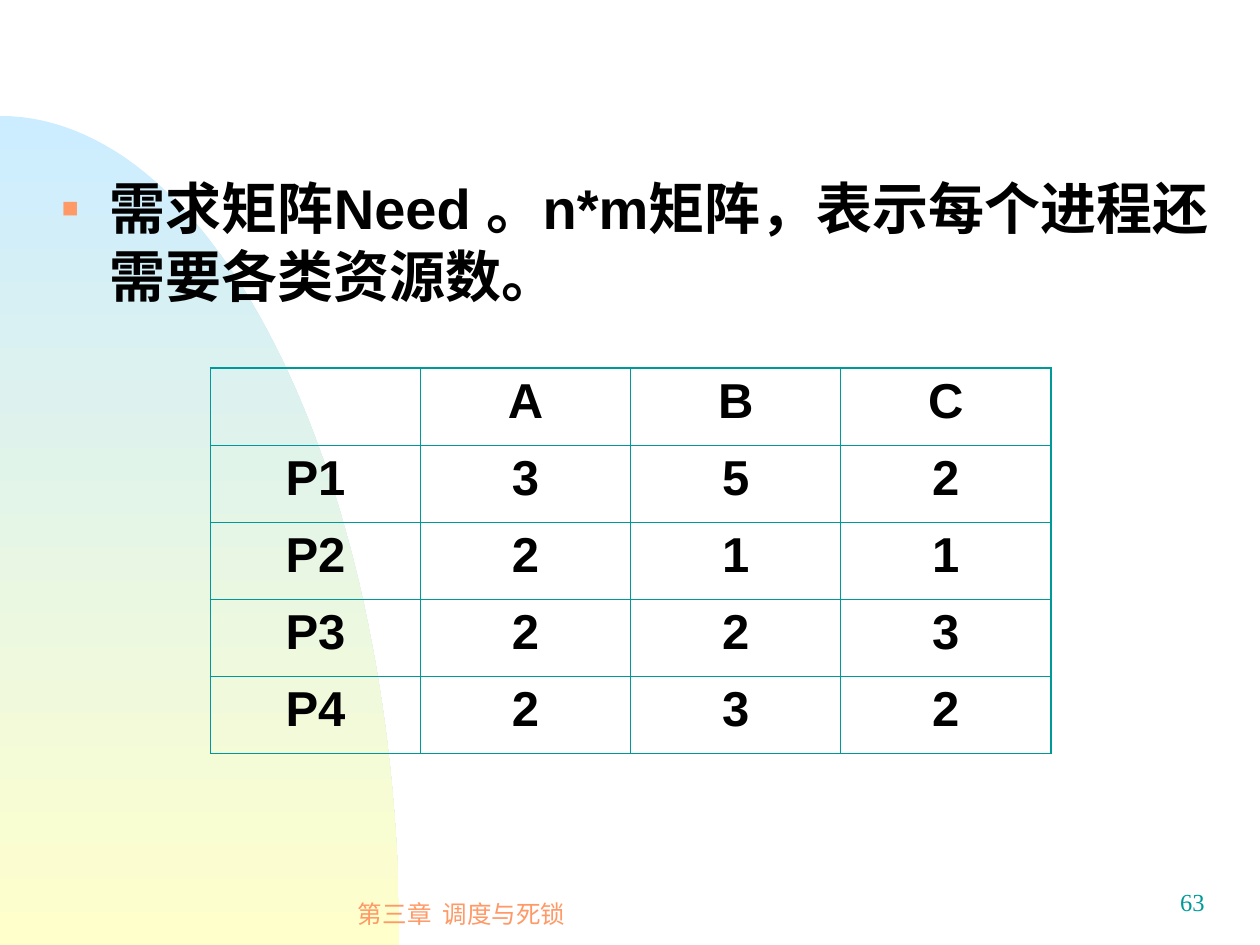
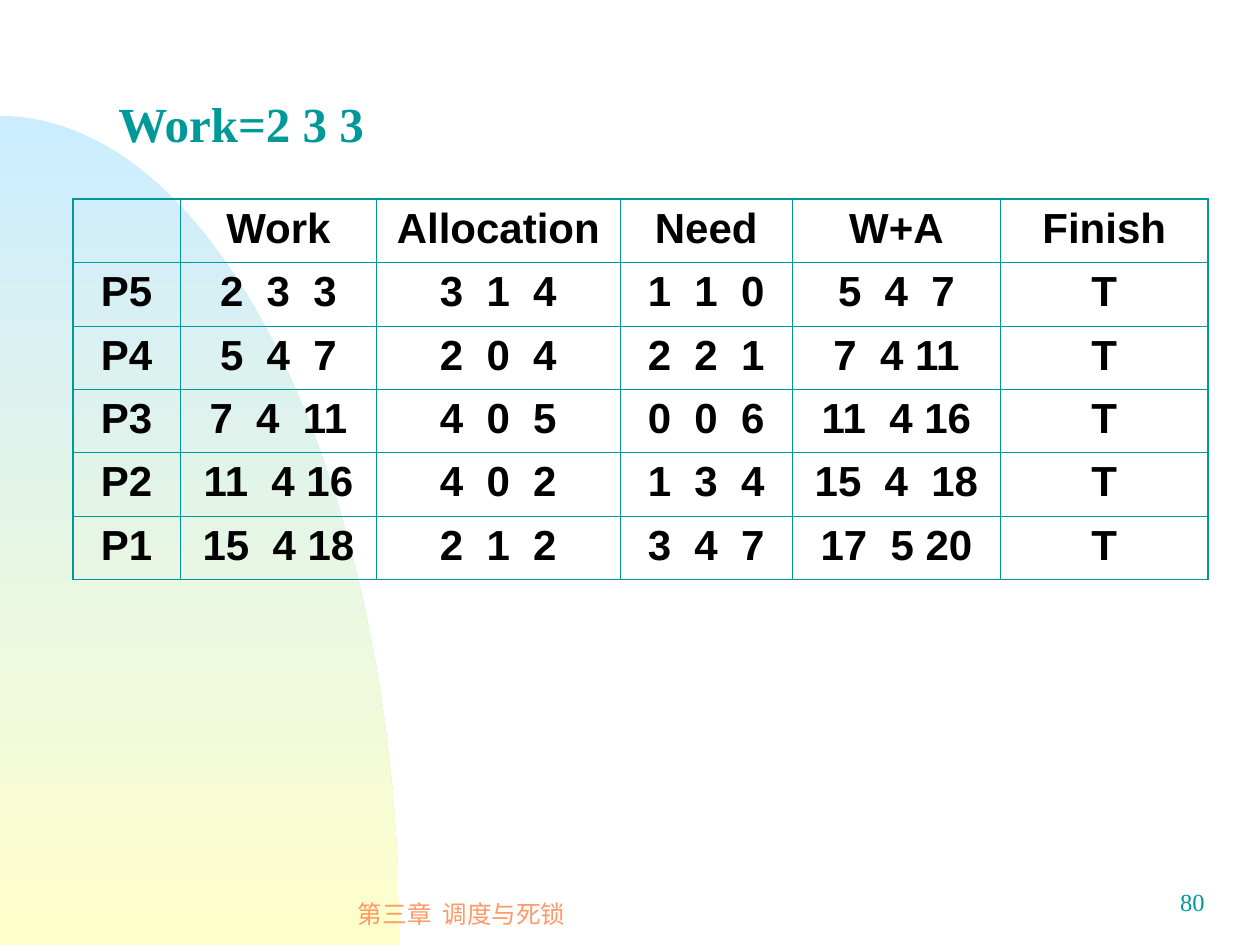
import lxml.etree
import pptx
import pptx.dml.color
import pptx.enum.text
import pptx.oxml.ns
import pptx.util

Inches, Pt, qn = pptx.util.Inches, pptx.util.Pt, pptx.oxml.ns.qn
ALIGN = pptx.enum.text.PP_ALIGN
ANCHOR = pptx.enum.text.MSO_ANCHOR

# Shared style
TEAL, ORANGE, BLACK = "009999", "FF9966", "000000"
SKY, CREAM = "CCECFF", "FFFFCC"
SANS, SERIF = "Arial", "Times New Roman"
OUTER, INNER = 1.08, 0.45


def rgb(value):
    return pptx.dml.color.RGBColor.from_string(value)


def sub(parent, tag, **attrs):
    return lxml.etree.SubElement(parent, qn(tag), attrs)


def write(tf, text, size, font, color, bold=False, align=ALIGN.LEFT):
    p = tf.paragraphs[0]
    p.alignment = align
    r = p.add_run()
    r.text = text
    r.font.size, r.font.name, r.font.bold = Pt(size), font, bold
    r.font.color.rgb = rgb(color)
    return p


def place(sp, box):
    sp.left, sp.top, sp.width, sp.height = map(Inches, box)


# Quarter dome at the left edge, on the master
def add_dome(prs, s, box, steps=60):
    left, top, width, height = box

    def point(t):
        x = 3 * 0.55 * t * (1 - t) ** 2 + 3 * t ** 2 * (1 - t) + t ** 3
        y = 3 * 0.45 * t ** 2 * (1 - t) + t ** 3
        return Inches(left + width * x), Inches(top + height * y)

    curve = [point(i / steps) for i in range(steps + 1)]
    fb = s.shapes.build_freeform(*curve[0])
    fb.add_line_segments(curve[1:] + [(Inches(left), Inches(top + height))])
    dome = fb.convert_to_shape()
    dome.shadow.inherit = False
    dome.line.fill.background()
    dome.fill.gradient()
    dome.fill.gradient_angle = 270
    for stop, color in zip(dome.fill.gradient_stops, (SKY, CREAM)):
        stop.color.rgb = rgb(color)
    prs.slide_master.shapes.element.insert(2, dome.element)


# Chapter name and page number
def add_footer(s, number):
    chapter = s.shapes.add_textbox(*map(Inches, (2.08, 7, 3.17, 0.5))).text_frame
    chapter.word_wrap = False
    chapter.vertical_anchor = ANCHOR.MIDDLE
    write(chapter, "第三章  调度与死锁", 14, SANS, ORANGE, align=ALIGN.CENTER)
    page = s.shapes.add_textbox(*map(Inches, (7.58, 6.99, 2.08, 0.5))).text_frame
    page.word_wrap = True
    write(page, str(number), 14, SERIF, TEAL, align=ALIGN.RIGHT)


def add_title(s, text, box):
    sp = s.shapes.title
    place(sp, box)
    tf = sp.text_frame
    tf.word_wrap = False
    tf.auto_size = pptx.enum.text.MSO_AUTO_SIZE.NONE
    tf.vertical_anchor = ANCHOR.TOP
    write(tf, text, 28, SERIF, TEAL, bold=True)


def add_bullet(s, text, box):
    sp = s.placeholders[1]
    place(sp, box)
    tf = sp.text_frame
    tf.auto_size = pptx.enum.text.MSO_AUTO_SIZE.NONE
    p = write(tf, text, 32, SANS, BLACK, bold=True)
    p.space_before = Pt(0)
    pPr = p._p.get_or_add_pPr()
    indent = Inches(0.38)
    pPr.set("marL", str(indent))
    pPr.set("indent", str(-indent))
    sub(sub(pPr, "a:buClr"), "a:srgbClr", val=ORANGE)
    sub(pPr, "a:buSzPct", val="50000")
    sub(pPr, "a:buFont", typeface=SANS)
    sub(pPr, "a:buChar", char="■")


# Ruled table: heavier frame, thin inner lines
def add_grid(s, rows, box, col_widths, size):
    n_rows, n_cols = len(rows), len(rows[0])
    table = s.shapes.add_table(n_rows, n_cols, *map(Inches, box)).table
    table.first_row = table.horz_banding = False
    for col, width in zip(table.columns, col_widths):
        col.width = Inches(width)
    for i, row in enumerate(rows):
        table.rows[i].height = Inches(box[3] / n_rows)
        for j, text in enumerate(row):
            cell = table.cell(i, j)
            if text:
                write(cell.text_frame, text, size, SANS, BLACK, True, ALIGN.CENTER)
            on_frame = {"L": j == 0, "R": j == n_cols - 1,
                        "T": i == 0, "B": i == n_rows - 1}
            tcPr = cell._tc.get_or_add_tcPr()
            for side, outer in on_frame.items():
                ln = sub(tcPr, "a:ln" + side, w=str(Pt(OUTER if outer else INNER)))
                sub(sub(ln, "a:solidFill"), "a:srgbClr", val=TEAL)
            cell.fill.background()


def need_slide(s):
    s.shapes.title.element.getparent().remove(s.shapes.title.element)
    add_footer(s, 63)
    add_bullet(s, "需求矩阵Need 。n*m矩阵，表示每个进程还需要各类资源数。",
               (0.39, 1.33, 9.36, 5.58))
    rows = [("", "A", "B", "C"),
            ("P1", "3", "5", "2"),
            ("P2", "2", "1", "1"),
            ("P3", "2", "2", "3"),
            ("P4", "2", "3", "2")]
    add_grid(s, rows, (1.67, 2.92, 6.67, 3.06), [6.67 / 4] * 4, 28)


def work_slide(s):
    add_footer(s, 80)
    rows = [("", "Work", "Allocation", "Need", "W+A", "Finish"),
            ("P5", "2  3  3", "3  1  4", "1  1  0", "5  4  7", "T"),
            ("P4", "5  4  7", "2  0  4", "2  2  1", "7  4 11", "T"),
            ("P3", "7  4  11", "4  0  5", "0  0  6", "11  4 16", "T"),
            ("P2", "11  4 16", "4  0  2", "1  3  4", "15  4  18", "T"),
            ("P1", "15  4 18", "2  1  2", "3  4  7", "17  5 20", "T")]
    add_grid(s, rows, (0.58, 1.58, 9, 3.02),
             (0.85, 1.56, 1.93, 1.37, 1.65, 1.65), 24)
    add_title(s, "Work=2 3 3", (0.84, 0.69, 2.17, 0.57))


def main():
    prs = pptx.Presentation()
    prs.slide_width, prs.slide_height = Inches(10), Inches(7.5)
    need = prs.slides.add_slide(prs.slide_layouts[1])
    add_dome(prs, need, (0, 0.92, 3.17, 6.58))
    need_slide(need)
    work_slide(prs.slides.add_slide(prs.slide_layouts[5]))
    prs.save("out.pptx")


if __name__ == "__main__":
    main()
